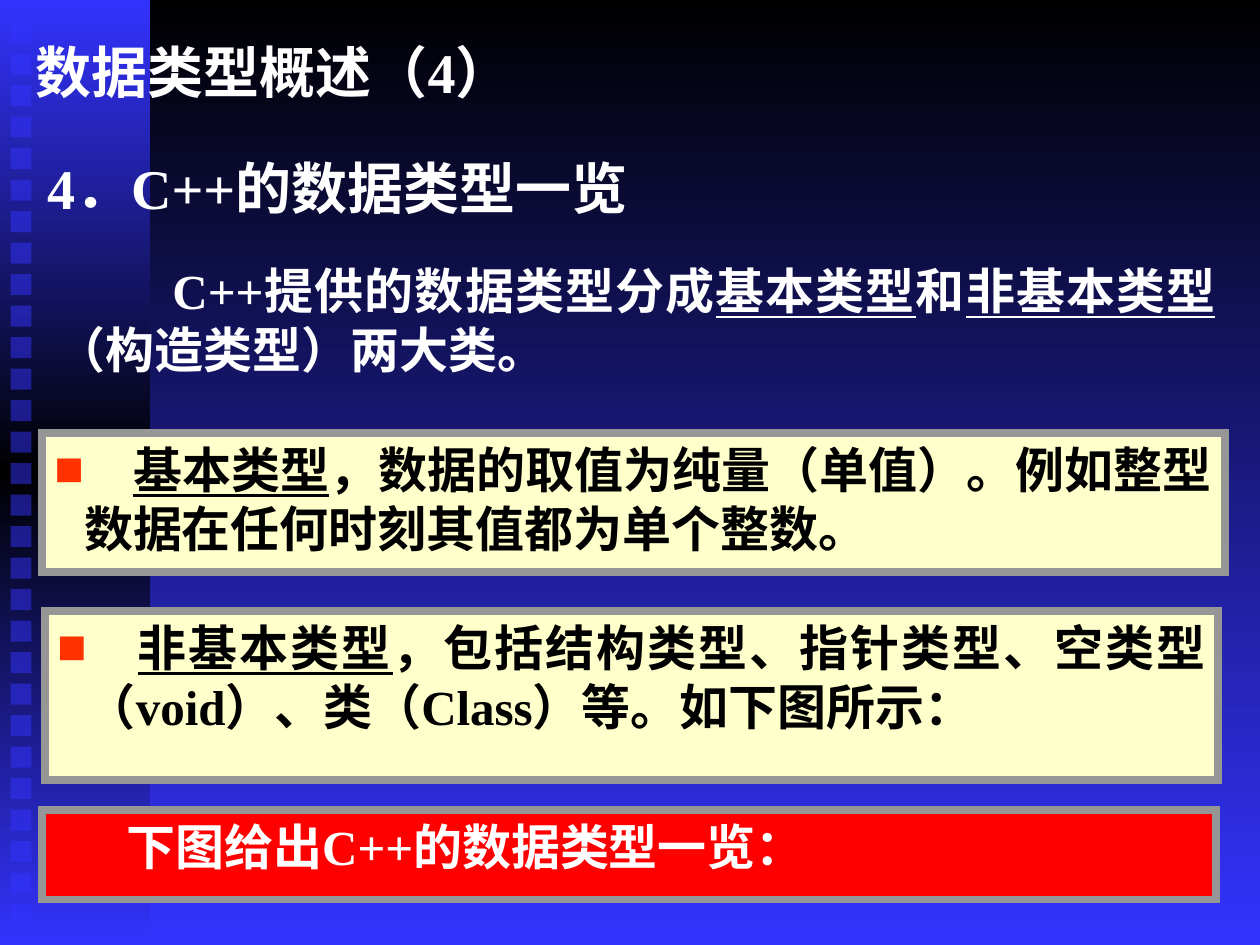
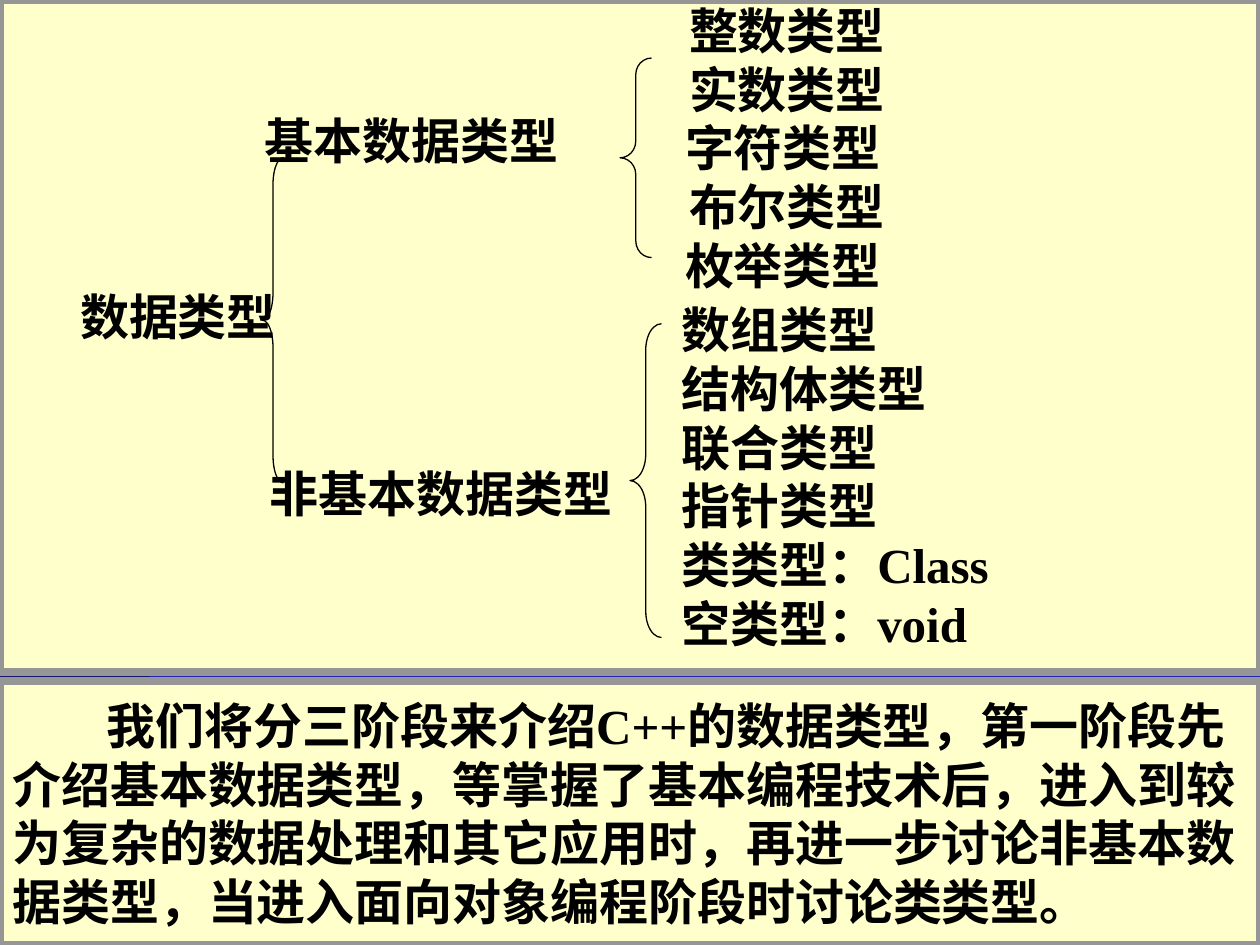
from pptx import Presentation
from pptx.dml.color import RGBColor
from pptx.enum.lang import MSO_LANGUAGE_ID
from pptx.enum.shapes import MSO_SHAPE
from pptx.enum.text import MSO_ANCHOR, PP_ALIGN
from pptx.oxml import parse_xml
from pptx.oxml.ns import nsdecls, qn
from pptx.util import Pt

WIDTH, HEIGHT = 720, 540
BLACK = RGBColor(0x00, 0x00, 0x00)
WHITE = RGBColor(0xFF, 0xFF, 0xFF)
BLUE = RGBColor(0x33, 0x33, 0xFF)
CREAM = RGBColor(0xFF, 0xFF, 0xCC)
GRAY = RGBColor(0x96, 0x96, 0x96)
RED = RGBColor(0xFF, 0x00, 0x00)
BULLET_RED = RGBColor(0xFF, 0x33, 0x00)
FONT = "Times New Roman"
TITLE_SIZE, BODY_SIZE = 32, 28


def set_gradient(parent, colors):
    last = len(colors) - 1
    stops = "".join(
        f'<a:gs pos="{i * 100000 // last}"><a:srgbClr val="{c}"/></a:gs>'
        for i, c in enumerate(colors))
    grad = parse_xml(
        f'<a:gradFill {nsdecls("a")} rotWithShape="1"><a:gsLst>{stops}</a:gsLst>'
        '<a:lin ang="5400000" scaled="0"/></a:gradFill>')
    solid = parent.find(qn("a:solidFill"))
    parent.replace(solid, grad)


def add_box(s, box, fill, line=None):
    sp = s.shapes.add_shape(MSO_SHAPE.RECTANGLE, *map(Pt, box))
    sp.shadow.inherit = False
    sp.fill.solid()
    sp.fill.fore_color.rgb = fill
    if line is None:
        sp.line.fill.background()
    else:
        sp.line.color.rgb = line
        sp.line.width = Pt(4.5)
        ln = sp._element.spPr.find(qn("a:ln"))
        ln.append(parse_xml(f'<a:miter {nsdecls("a")} lim="800000"/>'))
    return sp


def add_text_box(s, box):
    return s.shapes.add_textbox(*map(Pt, box))


def style_run(r, color, size):
    r.font.name = FONT
    r.font.size = Pt(size)
    r.font.bold = True
    r.font.color.rgb = color
    r.font.language_id = MSO_LANGUAGE_ID.SIMPLIFIED_CHINESE


def set_text(sp, lines, color, size=BODY_SIZE, anchor=MSO_ANCHOR.MIDDLE):
    tf = sp.text_frame
    tf.word_wrap = True
    tf.vertical_anchor = anchor
    tf.text = "\n".join(lines)
    for p in tf.paragraphs:
        p.alignment = PP_ALIGN.LEFT
        for r in p.runs:
            style_run(r, color, size)
    return tf.paragraphs[0]


def set_marked_text(sp, parts, color):
    p = set_text(sp, [""], color, anchor=MSO_ANCHOR.TOP)
    p.alignment = PP_ALIGN.JUSTIFY
    p.space_before = Pt(7)
    for text, underlined in parts:
        r = p.add_run()
        r.text = text
        style_run(r, color, BODY_SIZE)
        r.font.underline = underlined
    return p


def set_indent(p, first, left=0):
    pPr = p._p.get_or_add_pPr()
    pPr.set("marL", str(Pt(left)))
    pPr.set("indent", str(Pt(first)))


def add_bullet(p, gap):
    set_indent(p, -17, 17)
    pPr = p._p.get_or_add_pPr()
    for xml in (
        f'<a:buClr {nsdecls("a")}><a:srgbClr val="{BULLET_RED}"/></a:buClr>',
        f'<a:buFont {nsdecls("a")} typeface="Arial"/>',
        f'<a:buChar {nsdecls("a")} char="■"/>',
    ):
        pPr.append(parse_xml(xml))
    rPr = p.runs[0]._r.get_or_add_rPr()
    rPr.set("spc", str((gap - BODY_SIZE) * 100))


def add_backdrop(s):
    s.background.fill.solid()
    s.background.fill.fore_color.rgb = BLUE
    set_gradient(s.element.find(f".//{qn('p:bgPr')}"), [BLACK, BLUE])
    band = add_box(s, (0, 0, 85.7, HEIGHT), BLUE)
    set_gradient(band._element.spPr, [BLUE, BLACK, BLUE])


def add_squares(s, left, top):
    for i in range(29):
        square = add_box(s, (left, top + 18 * i, 12, 12), BLUE)
        color = square._element.spPr.find(f".//{qn('a:srgbClr')}")
        color.append(parse_xml(f'<a:alpha {nsdecls("a")} val="50000"/>'))


def add_slide(prs):
    s = prs.slides.add_slide(prs.slide_layouts[6])
    add_backdrop(s)
    return s


def add_definition(s, box, gap, term, meaning):
    sp = add_box(s, box, CREAM, GRAY)
    p = set_marked_text(
        sp, [("　", False), (term, True), (meaning, False)], BLACK)
    add_bullet(p, gap)


def add_brace(s, left, top, width, height):
    sp = s.shapes.add_shape(
        MSO_SHAPE.LEFT_BRACE, Pt(left), Pt(top), Pt(width), Pt(height))
    sp.shadow.inherit = False
    sp.fill.background()
    sp.line.color.rgb = BLACK
    sp.line.width = Pt(0.75)
    sp.adjustments[0] = height / width / 12


def add_names(s, box, names, indents):
    sp = add_box(s, box, CREAM)
    set_text(sp, names, BLACK)
    for p, indent in zip(sp.text_frame.paragraphs, indents):
        set_indent(p, 0, indent)
    return sp.text_frame


def add_categories(s, box):
    tf = add_names(s, box, ["基本数据类型", "数据类型", "非基本数据类型"],
                   [106.3, 0.8, 109.2])
    tf.vertical_anchor = MSO_ANCHOR.TOP
    tf.margin_left = tf.margin_right = 0
    tf.margin_top = Pt(33)
    for p in tf.paragraphs[1:]:
        p.space_before = Pt(67.2)


def add_type_tree(s, box):
    left, top = box[:2]
    add_box(s, box, CREAM, GRAY)
    add_categories(s, (left + 45, top + 30, 307, 330))
    add_names(s, (left + 384.4, top + 3.2, 252, 162),
              ["整数类型", "实数类型", "字符类型", "布尔类型", "枚举类型"],
              [2.3, 2.3, 0, 2.3, 0])
    add_names(s, (left + 382.4, top + 166.5, 240, 211),
              ["数组类型", "结构体类型", "联合类型", "指针类型",
               "类类型：Class", "空类型：void"], [0] * 6)
    for x, y, width, height in [(150, 90, 12, 186),
                                (354.3, 33.2, 18, 114),
                                (360, 185, 18, 179.3)]:
        add_brace(s, left + x, top + y, width, height)


def add_stage_note(s, box):
    p = set_text(add_box(s, box, CREAM, GRAY), [
        "我们将分三阶段来介绍C++的数据类型，第一阶段先介绍基本数据类型，"
        "等掌握了基本编程技术后，进入到较为复杂的数据处理和其它应用时，"
        "再进一步讨论非基本数据类型，当进入面向对象编程阶段时讨论类类型。"],
        BLACK)
    set_indent(p, 54)


def build_overview(prs):
    s = add_slide(prs)
    add_squares(s, 6, 12.6)
    p = set_text(add_text_box(s, (6, 15, 612, 51)),
                 ["数据类型概述（4）"], WHITE, TITLE_SIZE)
    set_indent(p, 0, 7)
    set_text(add_text_box(s, (19.8, 83, 612, 48)),
             ["4．C++的数据类型一览"], WHITE, TITLE_SIZE)
    p = set_marked_text(
        add_text_box(s, (25.5, 145.4, 676, 91)),
        [("C++提供的数据类型分成", False), ("基本类型", True), ("和", False),
         ("非基本类型", True), ("（构造类型）两大类。", False)], WHITE)
    set_indent(p, 66)
    add_definition(
        s, (24, 247.5, 676, 79.4), 21, "基本类型",
        "，数据的取值为纯量（单值）。例如整型数据在任何时刻其值都为单个整数。")
    add_definition(
        s, (25.6, 349.2, 670.3, 96.6), 16, "非基本类型",
        "，包括结构类型、指针类型、空类型（void）、类（Class）等。如下图所示：")
    p = set_marked_text(add_box(s, (24.2, 463, 670.6, 51), RED, GRAY),
                        [("下图给出C++的数据类型一览：", False)], WHITE)
    set_indent(p, 41)


def build_type_list(prs):
    s = add_slide(prs)
    add_stage_note(s, (0, 389, WIDTH, 151))
    add_type_tree(s, (0, 0, WIDTH, 384))


def main():
    prs = Presentation()
    prs.slide_width, prs.slide_height = Pt(WIDTH), Pt(HEIGHT)
    build_overview(prs)
    build_type_list(prs)
    prs.save("out.pptx")


if __name__ == "__main__":
    main()
